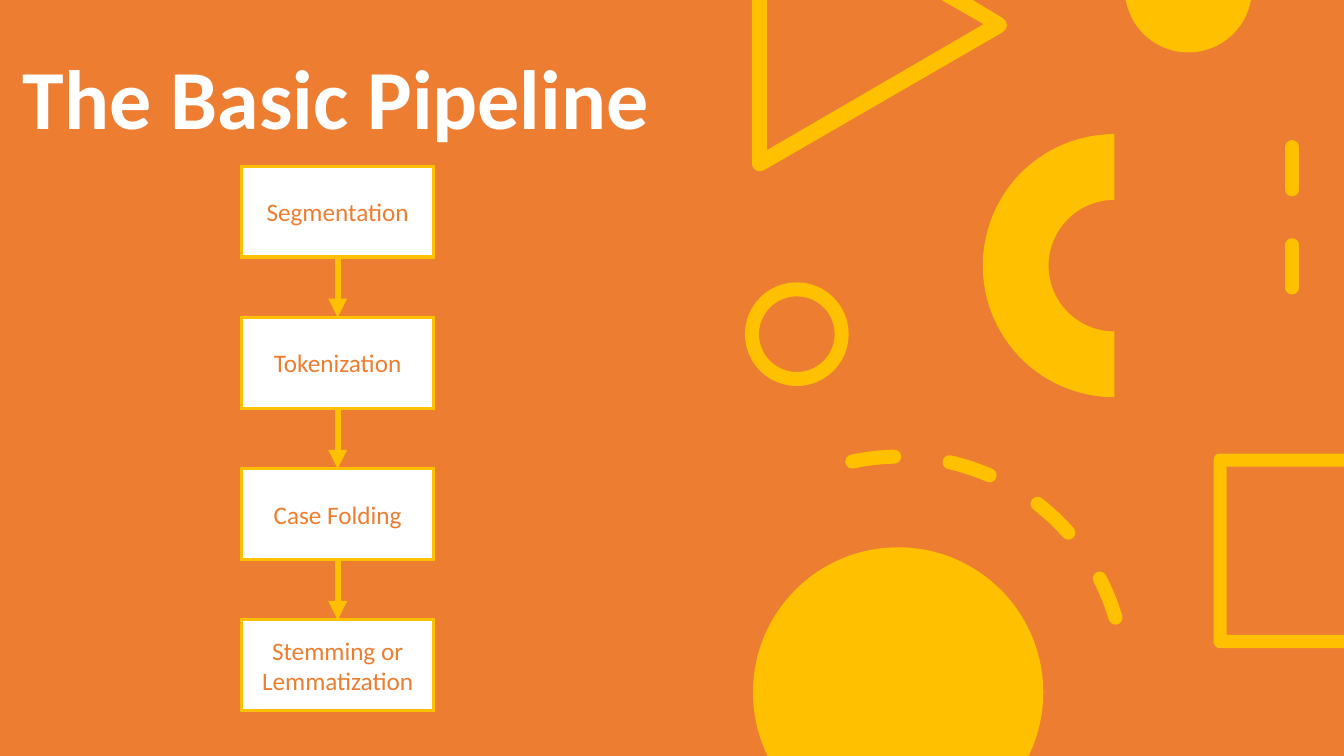
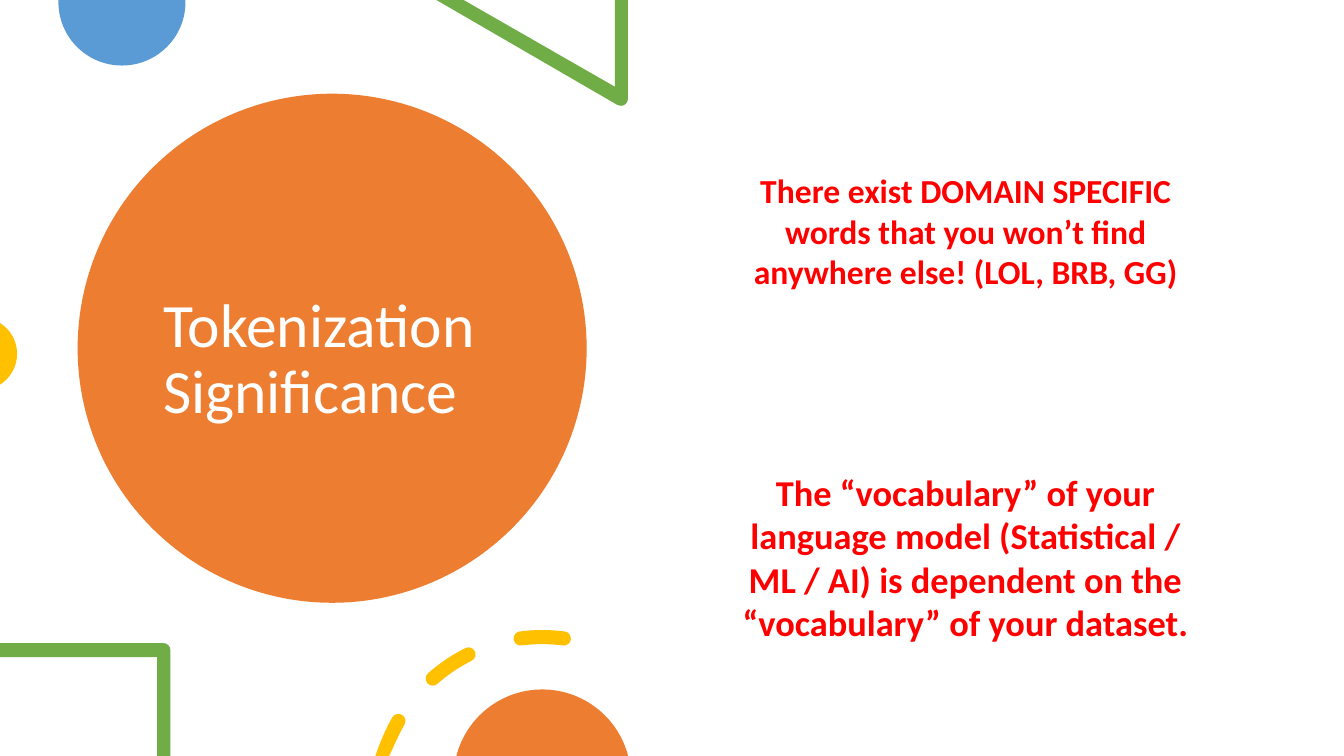
import math

import lxml.etree
import pptx
import pptx.dml.color
import pptx.enum.dml
import pptx.enum.shapes
import pptx.enum.text
import pptx.oxml.ns
import pptx.util

Inches = pptx.util.Inches
KIND = pptx.enum.shapes.MSO_SHAPE
ANCHOR = pptx.enum.text.MSO_ANCHOR
ALIGN = pptx.enum.text.PP_ALIGN
DASH = pptx.enum.dml.MSO_LINE.DASH
qn = pptx.oxml.ns.qn

FONT = "Calibri"
WIDE, HIGH = 40 / 3, 7.5
ORANGE, GOLD, GREEN = "ED7D31", "FFC000", "70AD47"
BLUE, RED, WHITE = "5B9BD5", "FF0000", "FFFFFF"
STEPS = [
    ["Segmentation"],
    ["Tokenization"],
    ["Case Folding"],
    ["Stemming or", "Lemmatization"],
]


def paint(fill, color):
    fill.solid()
    fill.fore_color.rgb = pptx.dml.color.RGBColor.from_string(color)


def add_tag(parent, name, **attrs):
    lxml.etree.SubElement(parent, qn(name), **attrs)


def stroke(shape, color, width, dash=False):
    paint(shape.line.fill, color)
    shape.line.width = pptx.util.Pt(width)
    edge = shape.element.spPr.find(qn("a:ln"))
    if dash:
        shape.line.dash_style = DASH
        edge.set("cap", "rnd")
    else:
        add_tag(edge, "a:miter", lim="800000")
    return edge


def add_shape(slide, kind, box, fill=None, line=None, width=10, dash=False, turn=0):
    shape = slide.shapes.add_shape(kind, *map(Inches, box))
    shape.shadow.inherit = False
    shape.rotation = turn
    if fill:
        paint(shape.fill, fill)
    else:
        shape.fill.background()
    if line:
        stroke(shape, line, width, dash)
    else:
        shape.line.fill.background()
    return shape


def add_line(slide, start, end, width, dash=False, arrow=False):
    line = slide.shapes.add_connector(
        pptx.enum.shapes.MSO_CONNECTOR.STRAIGHT, *map(Inches, start + end)
    )
    edge = stroke(line, GOLD, width, dash)
    if arrow:
        add_tag(edge, "a:tailEnd", type="triangle")
    add_tag(line.element.spPr, "a:effectLst")
    return line


def write(frame, lines, size, color, bold=False, align=ALIGN.LEFT,
          anchor=ANCHOR.TOP, pitch=1.0):
    frame.word_wrap = True
    frame.vertical_anchor = anchor
    frame.text = "\n".join(lines)
    for para in frame.paragraphs:
        para.alignment = align
        para.line_spacing = pitch
        for run in para.runs:
            run.font.name = FONT
            run.font.size = pptx.util.Pt(size)
            run.font.bold = bold
            paint(run.font.fill, color)


def add_title(slide, box, text, size, anchor, bold=False):
    title = slide.shapes.add_textbox(*map(Inches, box))
    write(title.text_frame, [text], size, WHITE, bold=bold, anchor=anchor, pitch=0.9)


def add_note(slide, top, high, lines, size, inset=0.05):
    note = add_shape(slide, KIND.RECTANGLE, (7.14, top, 4.88, high), WHITE)
    write(note.text_frame, lines, size, RED, bold=True, align=ALIGN.CENTER)
    note.text_frame.margin_top = Inches(inset)


def arc(x, y, radius, *stops):
    def spot(turn, pull=0):
        cos, sin = math.cos(turn), math.sin(turn)
        return x + radius * (cos - pull * sin), y + radius * (sin + pull * cos)

    turns = [math.radians(stop) for stop in stops]
    parts = [spot(turns[0])]
    for start, end in zip(turns, turns[1:]):
        pull = 4 / 3 * math.tan((end - start) / 4)
        parts.append(spot(start, pull) + spot(end, -pull) + spot(end))
    return parts


def pairs(part):
    return [
        (Inches(min(max(x, 0), WIDE)), Inches(min(max(y, 0), HIGH)))
        for x, y in zip(part[::2], part[1::2])
    ]


def bend(shape, parts):
    trace = shape.element.spPr.find(".//" + qn("a:path"))
    nodes = iter(trace.findall(qn("a:lnTo")))
    for part in parts:
        group = [next(nodes) for _ in pairs(part)]
        if len(group) == 3:
            curve = trace.makeelement(qn("a:cubicBezTo"))
            group[0].addprevious(curve)
            for node in group:
                curve.append(node[0])
                trace.remove(node)


def add_form(slide, color, *loops):
    form = None
    for first, *rest in loops:
        start = pairs(first)[0]
        if form is None:
            form = slide.shapes.build_freeform(*start)
        else:
            form.move_to(*start)
        form.add_line_segments([spot for part in rest for spot in pairs(part)])
    shape = form.convert_to_shape()
    bend(shape, [part for loop in loops for part in loop[1:]])
    shape.shadow.inherit = False
    paint(shape.fill, color)
    shape.line.fill.background()


def add_disc(slide, color, x, y, radius, *stops):
    add_form(slide, color, arc(x, y, radius, *stops))


def bent_dash(x, y, radius, start, stop, half=0.07):
    head, tail = (arc(x, y, radius, turn)[0] for turn in (start, stop))
    return (
        arc(x, y, radius + half, start, stop)
        + arc(*tail, half, stop, stop + 90, stop + 180)[1:]
        + arc(x, y, radius - half, stop, start)[1:]
        + arc(*head, half, start + 180, start + 270, start + 360)[1:]
    )


def add_flow(slide):
    last = None
    for i, lines in enumerate(STEPS):
        step = add_shape(slide, KIND.RECTANGLE, (2.4, 1.65 + 1.5 * i, 1.9, 0.9),
                         WHITE, GOLD, 2.25)
        write(step.text_frame, lines, 18, ORANGE, align=ALIGN.CENTER,
              anchor=ANCHOR.MIDDLE)
        if last:
            link = add_line(slide, (0, 0), (0, 0), 4.5, arrow=True)
            link.begin_connect(last, 2)
            link.end_connect(step, 0)
        last = step


def draw_pipeline(slide):
    add_shape(slide, KIND.RECTANGLE, (0, 0, WIDE, HIGH), ORANGE)
    add_title(slide, (0.13, 0.25, 7.2, 1.26), "The Basic Pipeline", 60,
              ANCHOR.BOTTOM, bold=True)
    add_disc(slide, GOLD, 11.79, -0.11, 0.63, 10, 90, 170)
    add_shape(slide, KIND.OVAL, (7.46, 2.87, 0.89, 0.89), line=GOLD)
    add_shape(slide, KIND.BLOCK_ARC, (9.75, 1.33, 2.61, 2.61), GOLD, turn=270)
    add_form(slide, GOLD, [
        (7.46, 0), (7.61, 0), (7.61, 1.49), (9.76, 0.24), (9.34, 0), (9.65, 0),
        *arc(9.91, 0.25, 0.08, -60, 0, 60), *arc(7.54, 1.62, 0.08, 60, 90, 180),
    ])
    add_line(slide, (12.82, 1.46), (12.82, 3.2), 10, dash=True)
    add_form(slide, GOLD, [
        (WIDE, 4.5), (WIDE, 4.63), (12.17, 4.63), (12.17, 6.3), (WIDE, 6.3),
        (WIDE, 6.43), *arc(12.1, 6.37, 0.06, 90, 180), *arc(12.1, 4.56, 0.06, 180, 270),
    ])
    add_shape(slide, KIND.ARC, (6.69, 4.53, 4.47, 4.47), line=GOLD, dash=True, turn=347.9)
    add_disc(slide, GOLD, 8.91, 6.87, 1.44, 154, 180, 270, 360, 386)
    add_flow(slide)


def draw_meaning(slide):
    add_shape(slide, KIND.OVAL, (0.77, 0.93, 5.05, 5.05), ORANGE)
    add_title(slide, (1.52, 1.35, 3.54, 4.45), "Tokenization Significance", 44,
              ANCHOR.MIDDLE)
    add_disc(slide, BLUE, 1.21, 0.02, 0.63, -2, 90, 182)
    add_form(slide, GREEN, [
        (6.23, 0), (6.1, 0), (6.1, 0.86), (4.6, 0), (4.33, 0),
        *arc(6.16, 0.98, 0.07, 120, 90, 0),
    ])
    add_disc(slide, GOLD, -0.19, 3.51, 0.36, -58, 0, 58)
    add_form(slide, GREEN, [
        (0, 6.38), (0, 6.52), (1.56, 6.52), (1.56, HIGH), (1.69, HIGH),
        *arc(1.62, 6.45, 0.07, 0, -90),
    ])
    add_form(slide, GOLD, *[
        bent_dash(5.38, 7.96, 1.64, start, start + 15) for start in (194.5, 228.5, 262.5)
    ])
    add_disc(slide, ORANGE, 5.38, 7.72, 0.88, 194.5, 270, 345.5)
    add_note(slide, 1.24, 2.12, [
        "There exist DOMAIN SPECIFIC",
        "words that you won’t find anywhere else! (LOL, BRB, GG)",
    ], 24, inset=0.45)
    add_note(slide, 4.61, 1.85, [
        "The “vocabulary” of your language model (Statistical / ML / AI) "
        "is dependent on the “vocabulary” of your dataset.",
    ], 26)


def main():
    deck = pptx.Presentation()
    deck.slide_width, deck.slide_height = Inches(WIDE), Inches(HIGH)
    for draw in (draw_pipeline, draw_meaning):
        draw(deck.slides.add_slide(deck.slide_layouts[6]))
    deck.save("out.pptx")


if __name__ == "__main__":
    main()
